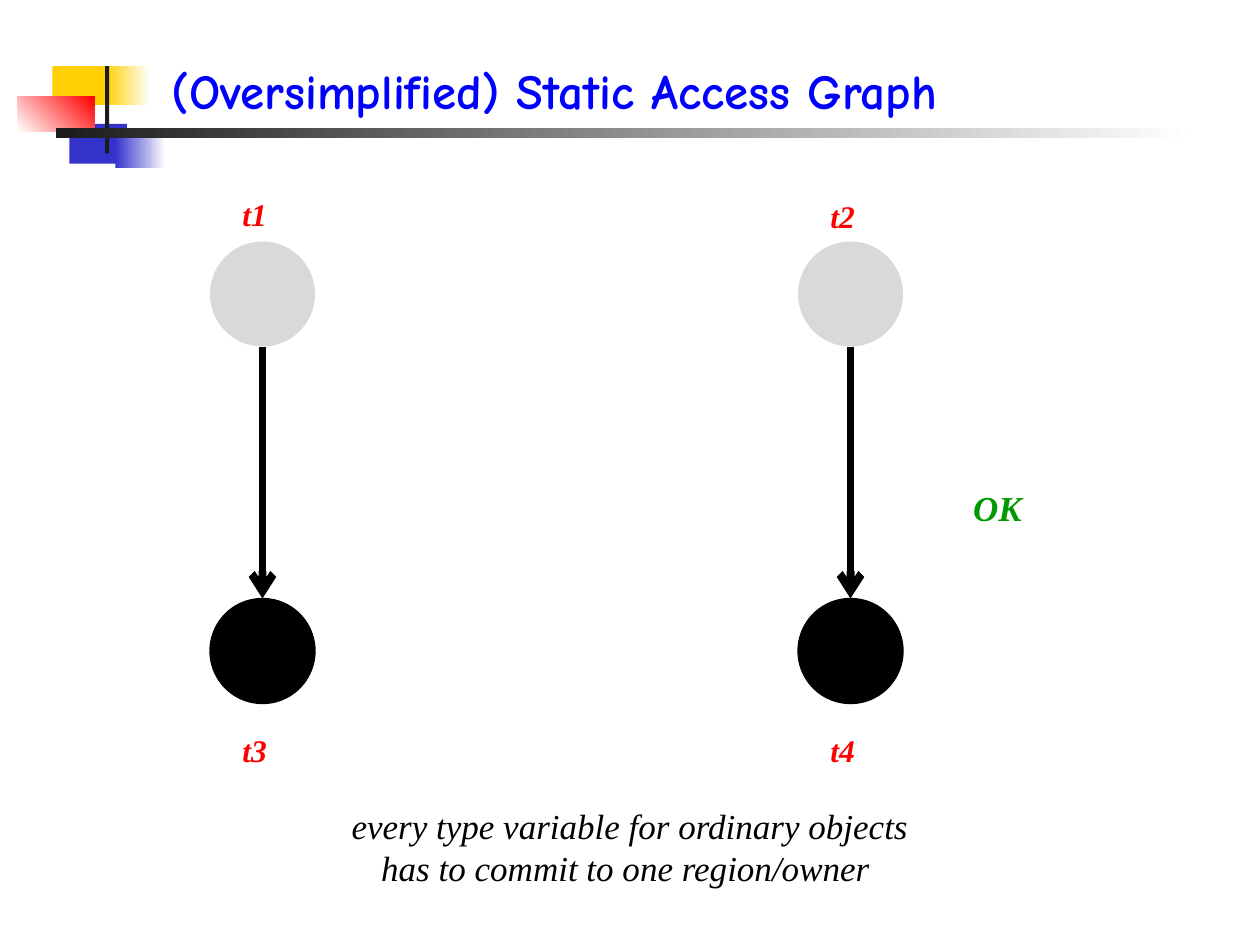
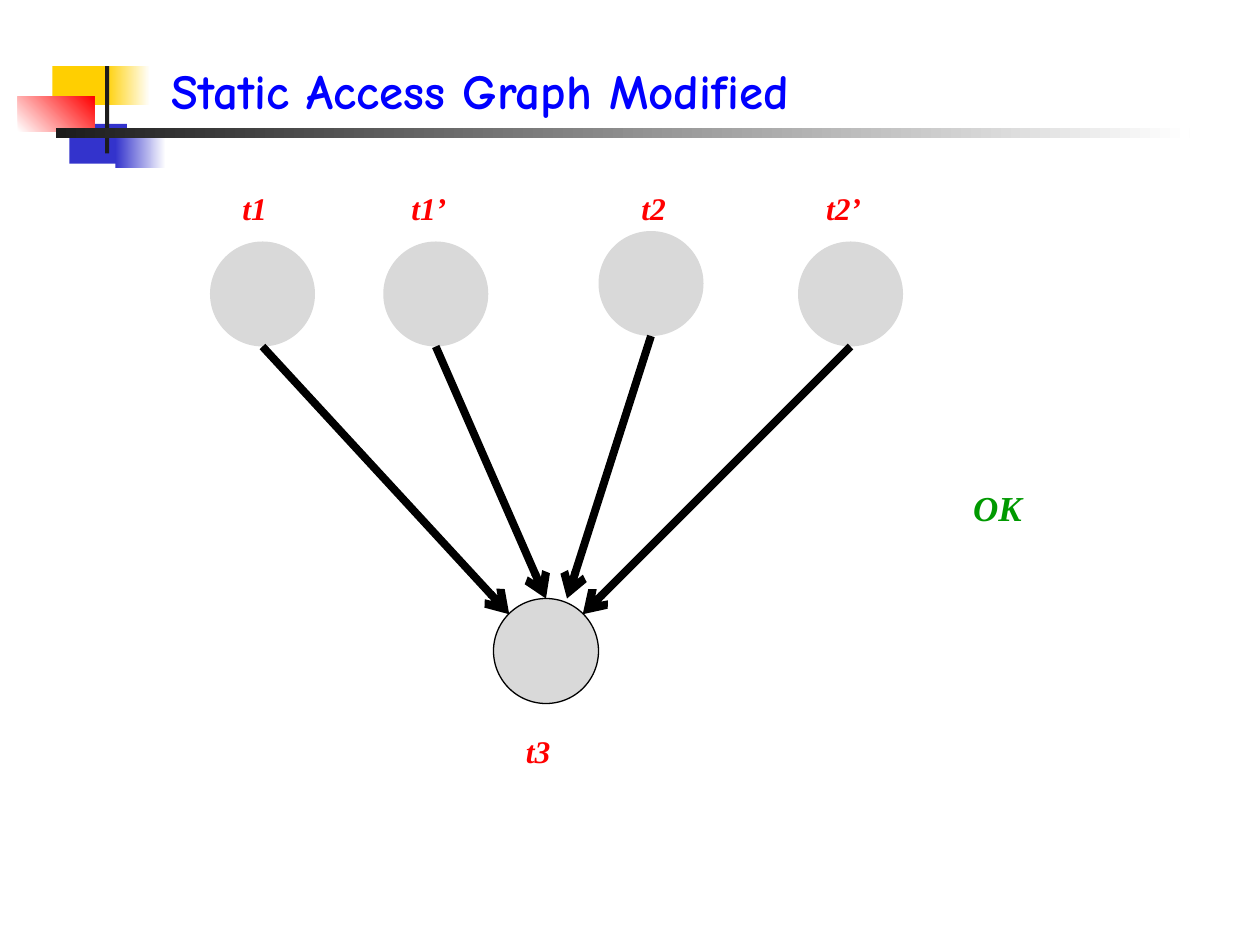
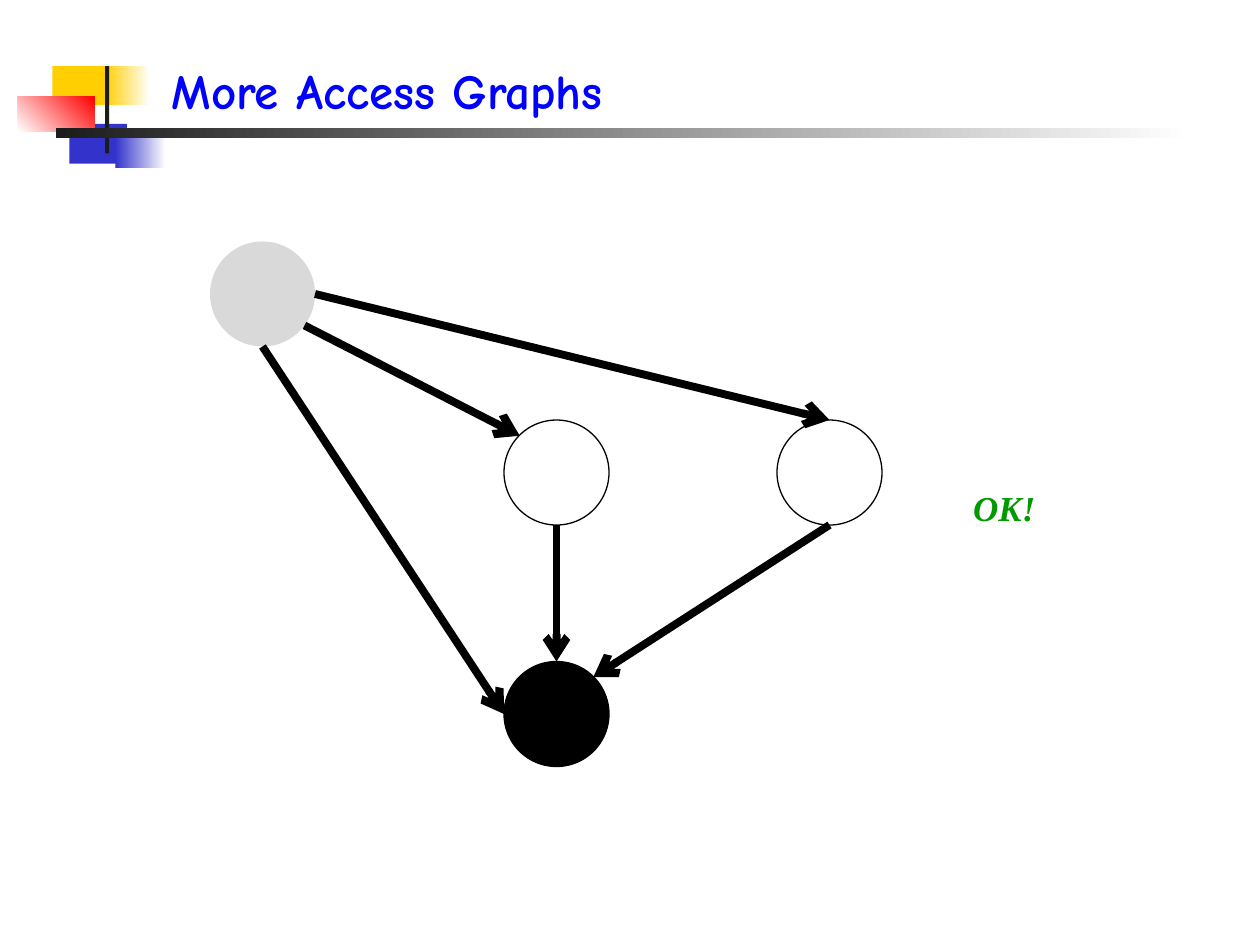
from dataclasses import dataclass
from typing import Any, NamedTuple, Optional

import lxml.etree
import pptx
import pptx.dml.color
import pptx.enum.shapes
import pptx.enum.text
import pptx.oxml.ns
import pptx.shapes.autoshape
import pptx.slide
import pptx.util

RGBColor = pptx.dml.color.RGBColor
SHAPE = pptx.enum.shapes.MSO_SHAPE
ALIGN = pptx.enum.text.PP_ALIGN
ANCHOR = pptx.enum.text.MSO_ANCHOR

EMU_PER_PX = 7620
DISC_SIZE = 100
LABEL_WIDTH = 340

BLACK = RGBColor(0x00, 0x00, 0x00)
WHITE = RGBColor(0xFF, 0xFF, 0xFF)
GREY = RGBColor(0xD9, 0xD9, 0xD9)
CHARCOAL = RGBColor(0x1C, 0x1C, 0x1C)
YELLOW = RGBColor(0xFF, 0xCF, 0x01)
INDIGO = RGBColor(0x33, 0x33, 0xCC)
RED = RGBColor(0xFF, 0x00, 0x00)
BLUE = RGBColor(0x00, 0x00, 0xFF)
GREEN = RGBColor(0x00, 0x99, 0x00)

SERIF = "Times New Roman"
TITLE_FONT = {"name": "Comic Neue", "size": pptx.util.Pt(28), "bold": True}
LABEL_FONT = {"name": SERIF, "size": pptx.util.Pt(18), "bold": True, "italic": True}
VERDICT_FONT = {"name": SERIF, "size": pptx.util.Pt(20), "bold": True, "italic": True}
REMARK_FONT = {"name": SERIF, "size": pptx.util.Pt(20), "italic": True}


class Point(NamedTuple):
    x: int
    y: int


class Area(NamedTuple):
    left: int
    top: int
    width: int
    height: int


TOP = Point(50, 0)
BESIDE_TOP = Point(70, 0)
BOTTOM = Point(50, 100)
LEFT = Point(0, 50)
RIGHT = Point(100, 50)
TOP_LEFT = Point(15, 15)
TOP_RIGHT = Point(85, 15)
LOWER_RIGHT = Point(90, 80)


class Block(NamedTuple):
    area: Area
    color: RGBColor
    fade_to: Optional[RGBColor] = None
    angle: int = 0


class Disc(NamedTuple):
    left: int
    top: int
    color: RGBColor
    outlined: bool = False


class Arrow(NamedTuple):
    source: int
    source_side: Point
    target: int
    target_side: Point


class Label(NamedTuple):
    text: str
    left: int
    top: int


@dataclass
class Graph:
    title: str
    discs: list[Disc]
    arrows: list[Arrow]
    labels: list[Label]
    verdict: str
    verdict_width: int
    remark: str = ""


HEADER = [
    Block(Area(50, 63, 57, 37), YELLOW),
    Block(Area(100, 63, 43, 37), YELLOW, WHITE),
    Block(Area(66, 118, 55, 38), INDIGO),
    Block(Area(110, 123, 48, 37), INDIGO, WHITE),
    Block(Area(17, 92, 73, 33), WHITE, RED, 45),
    Block(Area(100, 63, 4, 83), CHARCOAL),
    Block(Area(53, 122, 1080, 9), CHARCOAL, WHITE),
]

GRAPHS = [
    Graph(
        "(Oversimplified) Static Access Graph",
        [
            Disc(200, 230, GREY),
            Disc(760, 230, GREY),
            Disc(200, 570, BLACK, True),
            Disc(760, 570, BLACK, True),
        ],
        [Arrow(0, BOTTOM, 2, TOP), Arrow(1, BOTTOM, 3, TOP)],
        [
            Label("t1", 80, 180),
            Label("t2", 640, 182),
            Label("t3", 80, 690),
            Label("t4", 640, 690),
        ],
        "OK",
        83,
        "every type variable for ordinary objects has to commit to one region/owner ",
    ),
    Graph(
        "Static Access Graph Modified",
        [
            Disc(200, 230, GREY),
            Disc(365, 230, GREY),
            Disc(570, 220, GREY),
            Disc(760, 230, GREY),
            Disc(470, 570, GREY, True),
        ],
        [
            Arrow(0, BOTTOM, 4, TOP_LEFT),
            Arrow(1, BOTTOM, 4, TOP),
            Arrow(2, BOTTOM, 4, BESIDE_TOP),
            Arrow(3, BOTTOM, 4, TOP_RIGHT),
        ],
        [
            Label("t1", 80, 174),
            Label("t1’", 246, 174),
            Label("t2", 460, 174),
            Label("t2’", 641, 174),
            Label("t3", 350, 691),
        ],
        "OK",
        83,
    ),
    Graph(
        "More Access Graphs",
        [
            Disc(200, 230, GREY),
            Disc(480, 400, WHITE, True),
            Disc(740, 400, WHITE, True),
            Disc(480, 630, BLACK, True),
        ],
        [
            Arrow(0, LOWER_RIGHT, 1, TOP_LEFT),
            Arrow(0, BOTTOM, 3, LEFT),
            Arrow(1, BOTTOM, 3, TOP),
            Arrow(0, RIGHT, 2, TOP),
            Arrow(2, BOTTOM, 3, TOP_RIGHT),
        ],
        [],
        "OK!",
        95,
    ),
]


def px(length: int) -> int:
    return pptx.util.Emu(length * EMU_PER_PX)


def set_values(target: Any, values: dict[str, Any]) -> None:
    for name, value in values.items():
        setattr(target, name, value)


def add_figure(
    page: pptx.slide.Slide, kind: SHAPE, area: Area
) -> pptx.shapes.autoshape.Shape:
    figure = page.shapes.add_shape(kind, *map(px, area))
    figure.shadow.inherit = False
    figure.line.fill.background()
    return figure


def add_block(page: pptx.slide.Slide, block: Block) -> None:
    fill = add_figure(page, SHAPE.RECTANGLE, block.area).fill
    if block.fade_to is None:
        fill.solid()
        fill.fore_color.rgb = block.color
        return
    fill.gradient()
    fill.gradient_angle = block.angle
    for stop, color in zip(fill.gradient_stops, (block.color, block.fade_to)):
        stop.color.rgb = color


def add_disc(page: pptx.slide.Slide, disc: Disc) -> None:
    area = Area(disc.left, disc.top, DISC_SIZE, DISC_SIZE)
    figure = add_figure(page, SHAPE.OVAL, area)
    figure.fill.solid()
    figure.fill.fore_color.rgb = disc.color
    if disc.outlined:
        figure.line.color.rgb = BLACK
        figure.line.width = pptx.util.Pt(0.75)


def add_arrow(page: pptx.slide.Slide, discs: list[Disc], arrow: Arrow) -> None:
    source, target = discs[arrow.source], discs[arrow.target]
    connector = page.shapes.add_connector(
        pptx.enum.shapes.MSO_CONNECTOR.STRAIGHT,
        px(source.left + arrow.source_side.x),
        px(source.top + arrow.source_side.y),
        px(target.left + arrow.target_side.x),
        px(target.top + arrow.target_side.y),
    )
    connector.line.color.rgb = BLACK
    connector.line.width = pptx.util.Pt(4.5)
    qn = pptx.oxml.ns.qn
    properties = connector.element.spPr
    lxml.etree.SubElement(properties.find(qn("a:ln")), qn("a:tailEnd"), type="arrow")
    lxml.etree.SubElement(properties, qn("a:effectLst"))


def add_text(
    page: pptx.slide.Slide,
    text: str,
    area: Area,
    font: dict[str, Any],
    color: RGBColor,
    align: ALIGN = ALIGN.LEFT,
    **frame_values: Any,
) -> None:
    frame = page.shapes.add_textbox(*map(px, area)).text_frame
    set_values(frame, {"word_wrap": True, **frame_values})
    para = frame.paragraphs[0]
    para.alignment = align
    span = para.add_run()
    span.text = text
    set_values(span.font, font)
    span.font.color.rgb = color


def add_graph(page: pptx.slide.Slide, graph: Graph) -> None:
    for block in HEADER:
        add_block(page, block)
    add_text(
        page, graph.title, Area(152, 30, 1022, 90), TITLE_FONT, BLUE,
        vertical_anchor=ANCHOR.BOTTOM,
    )
    for disc in graph.discs:
        add_disc(page, disc)
    for arrow in graph.arrows:
        add_arrow(page, graph.discs, arrow)
    for label in graph.labels:
        add_text(
            page, label.text, Area(label.left, label.top, LABEL_WIDTH, 48),
            LABEL_FONT, RED, ALIGN.CENTER, margin_right=px(27),
        )
    add_text(
        page, graph.verdict, Area(915, 457, graph.verdict_width, 53),
        VERDICT_FONT, GREEN, word_wrap=False,
    )
    if graph.remark:
        add_text(
            page, graph.remark, Area(300, 760, 600, 92),
            REMARK_FONT, BLACK, ALIGN.CENTER,
        )


def main() -> None:
    deck = pptx.Presentation()
    set_values(deck, {"slide_width": px(1200), "slide_height": px(900)})
    for graph in GRAPHS:
        add_graph(deck.slides.add_slide(deck.slide_layouts[6]), graph)
    deck.save("out.pptx")


if __name__ == "__main__":
    main()
